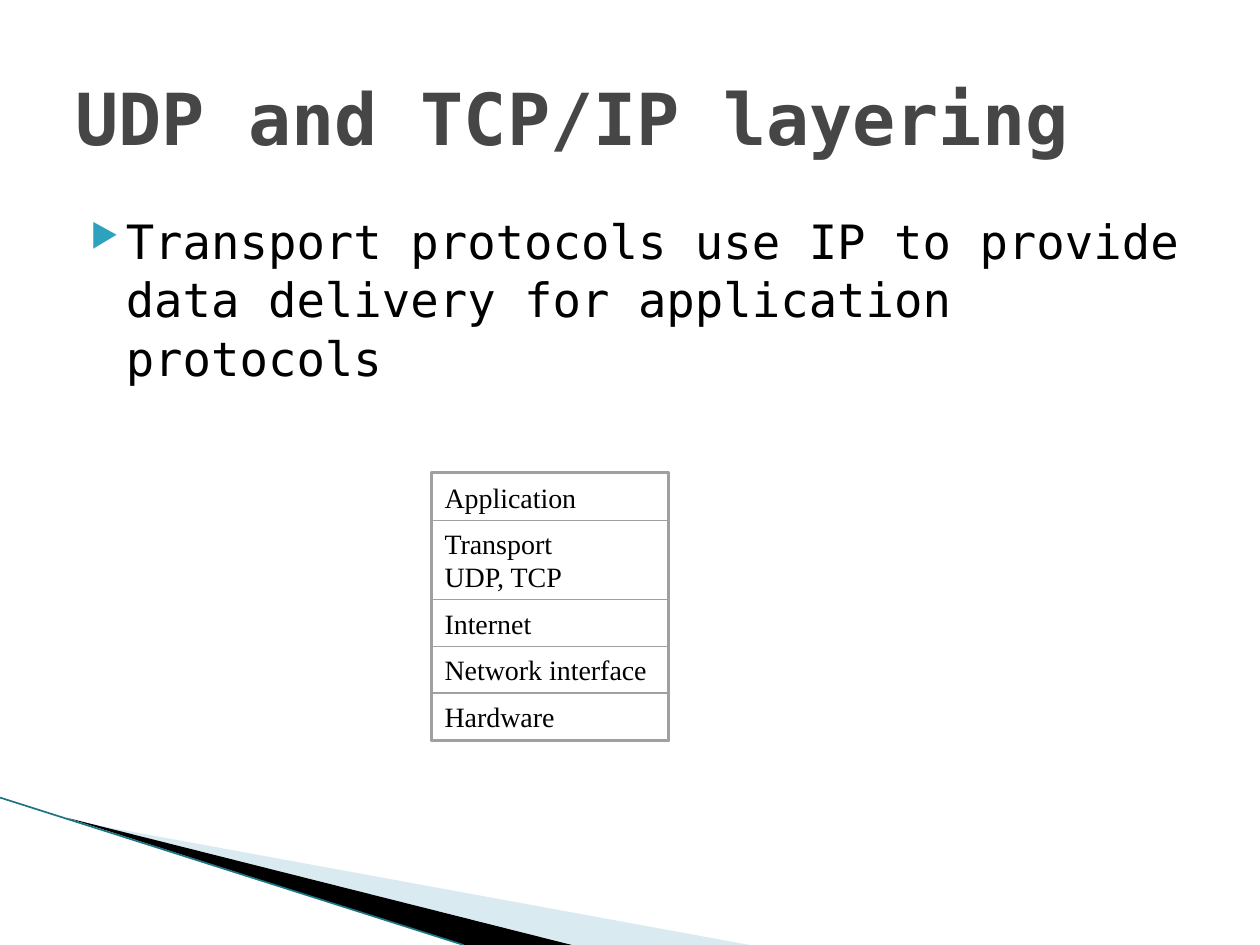
from lxml import etree
from pptx import Presentation
from pptx.dml.color import RGBColor
from pptx.enum import shapes, text
from pptx.oxml import ns
from pptx.util import Inches, Pt

BLACK = RGBColor(0, 0, 0)
TITLE_GRAY = RGBColor(0x46, 0x46, 0x46)
BORDER_GRAY = RGBColor(0xA0, 0xA0, 0xA0)
PALE_BLUE = RGBColor(0xA0, 0xCB, 0xDC)
TEAL = RGBColor(0x1B, 0x75, 0x87)
MONO, SERIF = "DejaVu Sans Mono", "Times New Roman"

TITLE = "UDP and TCP/IP layering"
BODY = "Transport protocols use IP to provide data delivery for application protocols"
LAYERS = [
    ["Application"],
    ["Transport", "UDP, TCP"],
    ["Internet"],
    ["Network interface"],
    ["Hardware"],
]
WEDGES = [
    ([(0.55, 6.51), (5.95, 7.5), (4.56, 7.5)], PALE_BLUE, 40),
    ([(0.53, 6.49), (4.54, 7.5), (3.68, 7.5)], BLACK, 100),
]
STACK_LEFT, STACK_TOP, STACK_WIDTH = 3.43, 3.76, 1.87
ROW_HEIGHT, EXTRA_LINE = 0.37, 0.26


def add_run(p, content, size, font, color, bold=False):
    r = p.add_run()
    r.text = content
    r.font.size, r.font.name, r.font.bold = Pt(size), font, bold
    r.font.color.rgb = color


def add_text_box(s, left, top, width, height, anchor):
    tf = s.shapes.add_textbox(*map(Inches, (left, top, width, height))).text_frame
    tf.word_wrap = True
    tf.vertical_anchor = anchor
    return tf


def add_wedge(s, points, color, alpha):
    pts = [(Inches(x), Inches(y)) for x, y in points]
    builder = s.shapes.build_freeform(*pts[0])
    builder.add_line_segments(pts[1:], close=True)
    sp = builder.convert_to_shape()
    sp.shadow.inherit = False
    sp.fill.solid()
    sp.fill.fore_color.rgb = color
    sp.line.fill.background()
    if alpha < 100:
        clr = sp.fill._xPr.find(".//" + ns.qn("a:srgbClr"))
        etree.SubElement(clr, ns.qn("a:alpha"), val=str(alpha * 1000))


def add_box(s, left, top, width, height, line_width):
    sp = s.shapes.add_shape(
        shapes.MSO_SHAPE.RECTANGLE, *map(Inches, (left, top, width, height)))
    sp.shadow.inherit = False
    sp.fill.background()
    sp.line.color.rgb = BORDER_GRAY
    sp.line.width = Pt(line_width)
    return sp


def add_bullet(p):
    pPr = p._p.get_or_add_pPr()
    pPr.set("marL", str(Inches(0.4)))
    pPr.set("indent", str(Inches(-0.28)))
    color = etree.SubElement(pPr, ns.qn("a:buClr"))
    etree.SubElement(color, ns.qn("a:srgbClr"), val="2DA2BF")
    etree.SubElement(pPr, ns.qn("a:buSzPct"), val="68000")
    etree.SubElement(pPr, ns.qn("a:buChar"), char="▶")


def add_stack(s):
    top = STACK_TOP
    for lines in LAYERS:
        height = ROW_HEIGHT + EXTRA_LINE * (len(lines) - 1)
        tf = add_box(s, STACK_LEFT, top, STACK_WIDTH, height, 0).text_frame
        tf.word_wrap = True
        tf.vertical_anchor = text.MSO_ANCHOR.MIDDLE
        p = tf.paragraphs[0]
        p.alignment = text.PP_ALIGN.LEFT
        for i, line in enumerate(lines):
            if i:
                p.add_line_break()
            add_run(p, line, 16, SERIF, BLACK)
        top += height
    add_box(s, STACK_LEFT - 0.01, STACK_TOP - 0.01,
            STACK_WIDTH + 0.02, top - STACK_TOP + 0.02, 1.37)


def main():
    prs = Presentation()
    prs.slide_width, prs.slide_height = Inches(10), Inches(7.5)
    s = prs.slides.add_slide(prs.slide_layouts[6])

    for wedge in WEDGES:
        add_wedge(s, *wedge)
    edge = s.shapes.add_connector(
        shapes.MSO_CONNECTOR.STRAIGHT, *map(Inches, (0, 6.33, 3.68, 7.5)))
    edge.line.color.rgb = TEAL
    edge.line.width = Pt(0.95)
    etree.SubElement(edge._element.spPr, ns.qn("a:effectLst"))

    p = add_text_box(s, 0.5, 1.62, 9, 4.95, text.MSO_ANCHOR.TOP).paragraphs[0]
    p.line_spacing = 1.03
    p.space_before = Pt(4)
    add_bullet(p)
    add_run(p, BODY, 27, MONO, BLACK)

    p = add_text_box(s, 0.5, 0.3, 9, 1.25, text.MSO_ANCHOR.MIDDLE).paragraphs[0]
    add_run(p, TITLE, 41, MONO, TITLE_GRAY, bold=True)

    add_stack(s)
    prs.save("out.pptx")


if __name__ == "__main__":
    main()
